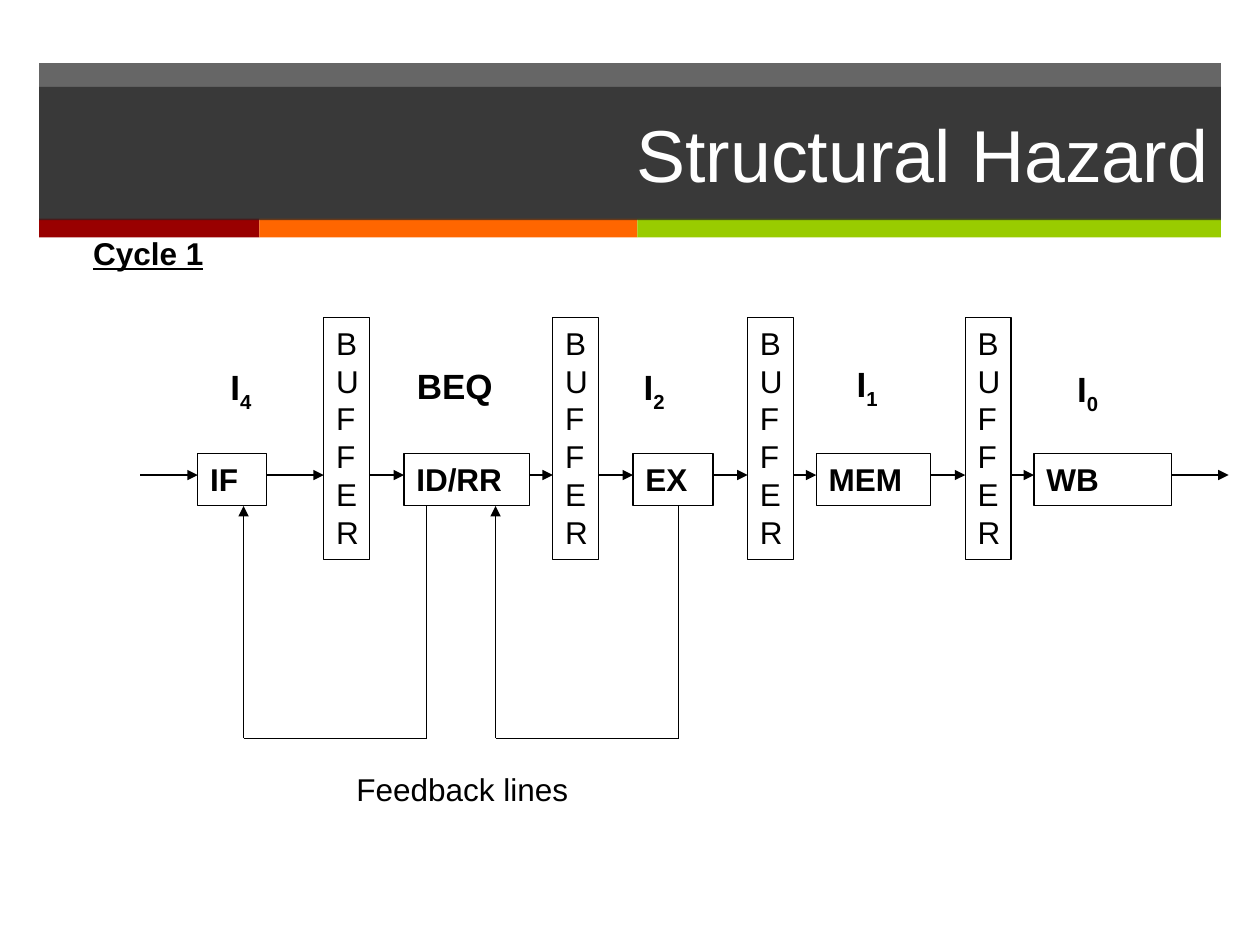
from dataclasses import dataclass
from lxml import etree
from pptx import Presentation
from pptx import util as u
from pptx.dml.color import RGBColor
from pptx.enum import shapes, text
from pptx.oxml.ns import qn

WIDE, HIGH = u.Inches(10), u.Inches(7.5)
BLACK, WHITE, DARK = "000000", "FFFFFF", "262626"
MID, FOOT, LOOP = 50.27, 53.55, 78.13


@dataclass(frozen=True)
class Box:
    """A pipeline box: start column and column count."""
    label: str
    col: int
    cols: int


@dataclass(frozen=True)
class Note:
    """A free label placed in percent of the slide."""
    label: str
    left: float
    top: float
    wide: float
    high: float
    size: int = 20
    bold: bool = True
    line: bool = False
    sub: str = ""


STAGES = [Box("IF", 5, 6), Box("ID/RR", 23, 11), Box("EX", 43, 7),
          Box("MEM", 59, 10), Box("WB", 78, 12)]
BUFFERS = [Box("B\nUF\nF\nE\nR", col, 4) for col in (16, 36, 53, 72)]
LOOPS = [(25, 9), (47, 31)]
STRIPES = [("990000", 3.1, 17.5), ("FF6600", 20.6, 30), ("99CC00", 50.6, 46.3)]
NOTES = [
    Note("BEQ", 32.1, 37.87, 8, 5.73),
    Note("Feedback lines", 27.3, 80.8, 18.8, 5.33, size=18, bold=False),
    Note("Cycle 1", 6.4, 24.13, 10.8, 5.33, size=18, line=True),
    Note("I", 17.3, 38, 3.9, 5.73, sub="4"),
    Note("I", 50.1, 38, 4, 5.73, sub="2"),
    Note("I", 67, 37.73, 3.8, 5.73, sub="1"),
    Note("I", 84.5, 38.27, 4, 5.73, sub="0"),
]


def across(pct: float) -> int:
    """Turn a percent of the slide's width into a length."""
    return round(WIDE * pct / 100)


def down(pct: float) -> int:
    """Turn a percent of the slide's height into a length."""
    return round(HIGH * pct / 100)


def grid(col: float) -> float:
    """Turn a pipeline column into a percent of the slide's width."""
    return 11.15 + col / 1.1


def area(left: float, top: float, wide: float, high: float) -> tuple:
    """Turn four percents into a place and a size."""
    return across(left), down(top), across(wide), down(high)


def tint(fmt, shade: str, alpha: int = 100) -> None:
    """Fill a format with a hex colour and an opacity in percent."""
    fmt.solid()
    fmt.fore_color.rgb = RGBColor.from_string(shade)
    if alpha < 100:
        for clr in fmt._xPr.iter(qn("a:srgbClr")):
            etree.SubElement(clr, qn("a:alpha")).set("val", str(alpha * 1000))


def write(shape, words: str, *, size=18, bold=False, line=False, shade=BLACK,
          align=text.PP_ALIGN.LEFT, anchor=text.MSO_ANCHOR.TOP,
          wrap=True, fit=text.MSO_AUTO_SIZE.SHAPE_TO_FIT_TEXT, sub="") -> None:
    """Put formatted text in a shape, with an optional subscript at its end."""
    frame = shape.text_frame
    frame.text = words
    frame.word_wrap, frame.auto_size = wrap, fit
    frame.vertical_anchor = anchor
    if sub:
        low = frame.paragraphs[-1].add_run()
        low.text = sub
        low._r.get_or_add_rPr().set("baseline", "-25000")
    for para in frame.paragraphs:
        para.alignment = align
        for run in para.runs:
            font = run.font
            font.name, font.size = "Arial", u.Pt(size)
            font.bold, font.underline = bold, line
            font.color.rgb = RGBColor.from_string(shade)


def block(slide, place: tuple, shade: str = "", alpha: int = 100):
    """Draw a rectangle, filled with a shade or outlined in black."""
    shape = slide.shapes.add_shape(shapes.MSO_SHAPE.RECTANGLE, *place)
    shape.shadow.inherit = False
    if shade:
        tint(shape.fill, shade, alpha)
        shape.line.fill.background()
    else:
        shape.fill.background()
        tint(shape.line.fill, BLACK)
        shape.line.width = u.Pt(0.75)
    return shape


def wire(slide, start: tuple, end: tuple, head: bool = True) -> None:
    """Draw a line between (column, percent down) points."""
    ends = [f(v) for p in (start, end)
            for f, v in ((across, grid(p[0])), (down, p[1]))]
    link = slide.shapes.add_connector(shapes.MSO_CONNECTOR.STRAIGHT, *ends)
    tint(link.line.fill, BLACK)
    link.line.width = u.Pt(0.75)
    if head:
        etree.SubElement(link.line._ln, qn("a:tailEnd")).set("type", "triangle")
    etree.SubElement(link.element.spPr, qn("a:effectLst"))


def banner(slide) -> None:
    """Draw the title band with its coloured stripes."""
    block(slide, area(3.1, 6.67, 93.8, 16.53), DARK, 70)
    for shade, left, wide in STRIPES:
        block(slide, area(left, 23.13, wide, 2), shade)
    title = slide.shapes.title
    title.left, title.top, title.width, title.height = area(3.1, 9.2, 93.8, 14.1)
    tint(title.fill, DARK, 70)
    write(title, "Structural Hazard", size=42, shade=WHITE,
          align=text.PP_ALIGN.RIGHT, anchor=text.MSO_ANCHOR.MIDDLE,
          fit=text.MSO_AUTO_SIZE.NONE)
    title.element.getparent().append(title.element)


def flow(slide) -> None:
    """Draw the stages, buffers, arrows and feedback loops."""
    for row, top, high, bold in ((STAGES, 48, 5.47, True),
                                 (BUFFERS, 33.6, 25.6, False)):
        for box in row:
            place = area(grid(box.col), top, box.cols / 1.1, high)
            write(block(slide, place), box.label, bold=bold)
    chain = sorted(STAGES + BUFFERS, key=lambda box: box.col)
    outs = [0] + [box.col + box.cols for box in chain]
    ins = [box.col for box in chain] + [95]
    for start, end in zip(outs, ins):
        wire(slide, (start, MID), (end, MID))
    for start, end in LOOPS:
        wire(slide, (start, FOOT), (start, LOOP), head=False)
        wire(slide, (start, LOOP), (end, LOOP), head=False)
        wire(slide, (end, LOOP), (end, FOOT))


def main() -> None:
    """Build the slide and save it."""
    deck = Presentation()
    deck.slide_width, deck.slide_height = WIDE, HIGH
    slide = deck.slides.add_slide(deck.slide_layouts[5])
    banner(slide)
    flow(slide)
    for note in NOTES:
        place = area(note.left, note.top, note.wide, note.high)
        write(slide.shapes.add_textbox(*place), note.label, size=note.size,
              bold=note.bold, line=note.line, wrap=bool(note.sub), sub=note.sub)
    deck.save("out.pptx")


if __name__ == "__main__":
    main()
